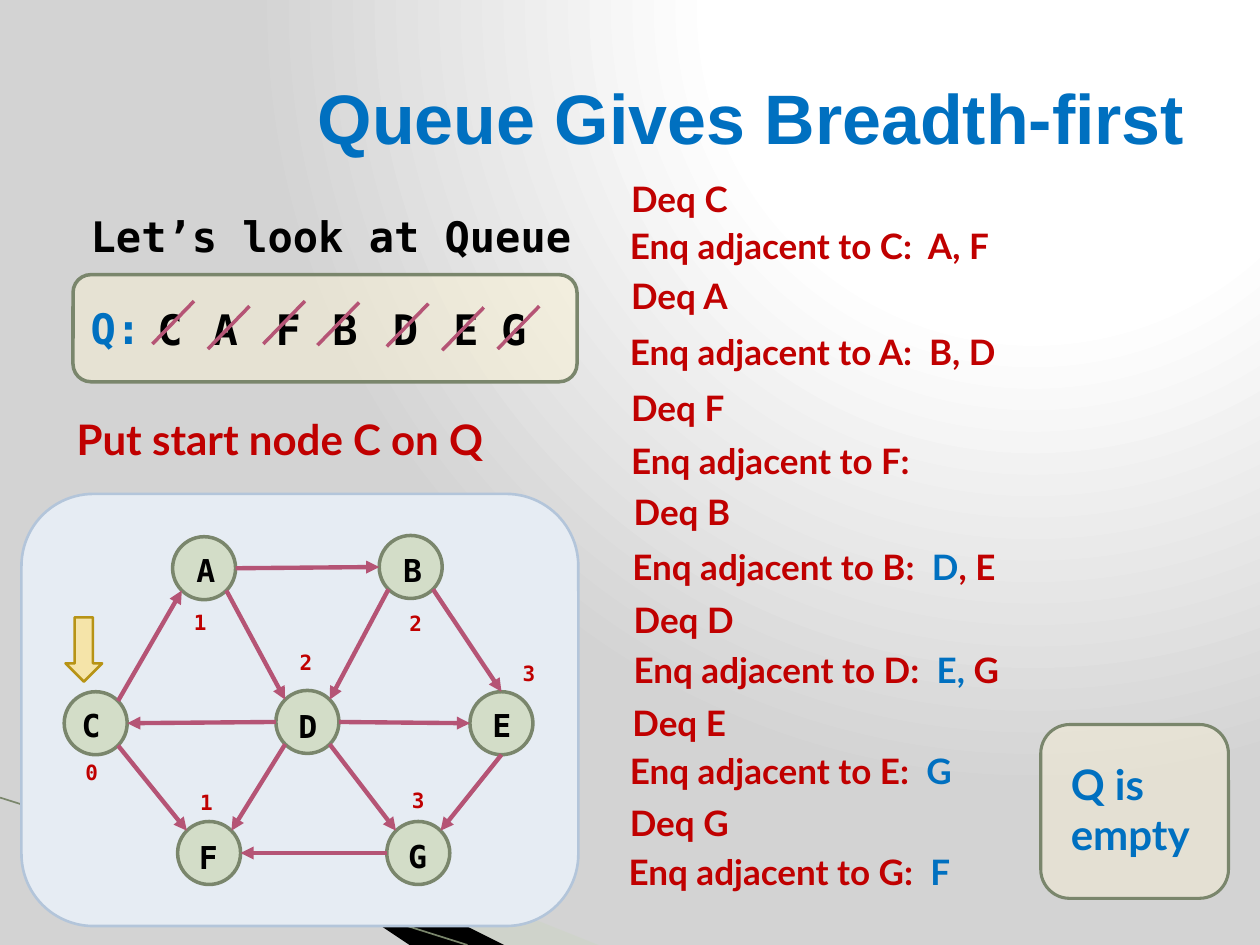
from dataclasses import dataclass
from math import sqrt

from lxml import etree
from pptx import Presentation
from pptx.dml.color import RGBColor
from pptx.enum.shapes import MSO_CONNECTOR, MSO_SHAPE
from pptx.enum.text import MSO_ANCHOR, PP_ALIGN
from pptx.oxml.ns import qn
from pptx.util import Inches, Pt

ROUNDED, OVAL, DOWN = MSO_SHAPE.ROUNDED_RECTANGLE, MSO_SHAPE.OVAL, MSO_SHAPE.DOWN_ARROW
STRAIGHT = MSO_CONNECTOR.STRAIGHT
MIDDLE, TOP, LEFT, RIGHT = MSO_ANCHOR.MIDDLE, MSO_ANCHOR.TOP, PP_ALIGN.LEFT, PP_ALIGN.RIGHT

BLACK = RGBColor(0x00, 0x00, 0x00)
BLUE = RGBColor(0x00, 0x70, 0xC0)
RED = RGBColor(0xC0, 0x00, 0x00)
ROSE = RGBColor(0xB5, 0x54, 0x75)
OLIVE = RGBColor(0x7A, 0x86, 0x6C)
CREAM = RGBColor(0xFA, 0xF2, 0xD4)
GREEN = RGBColor(0xBE, 0xCB, 0x95)
SAGE = RGBColor(0xCB, 0xD4, 0xC0)
PALE_BLUE = RGBColor(0xE6, 0xEC, 0xF3)
EDGE_BLUE = RGBColor(0xB3, 0xC5, 0xDA)
YELLOW = RGBColor(0xF5, 0xE4, 0xA9)
GOLD = RGBColor(0xB7, 0x93, 0x15)

MONO, SANS = "DejaVu Sans Mono", "Lato"
RADIUS = 0.25
DIAGONAL = RADIUS / sqrt(2)
SITES = {
    "top": (0, -RADIUS), "bottom": (0, RADIUS), "left": (-RADIUS, 0), "right": (RADIUS, 0),
    "top left": (-DIAGONAL, -DIAGONAL), "top right": (DIAGONAL, -DIAGONAL),
    "bottom left": (-DIAGONAL, DIAGONAL), "bottom right": (DIAGONAL, DIAGONAL),
}


@dataclass
class Node:
    x: float
    y: float
    label: tuple[float, float]
    distance: str
    distance_at: tuple[float, float]


@dataclass
class Step:
    left: float
    top: float
    spans: list[tuple[str, RGBColor]]


@dataclass
class QueueItem:
    name: str
    left: float
    strike: tuple[float, float]


NODES = {
    "A": Node(1.62, 4.51, (1.46, 4.32), "1", (1.44, 4.79)),
    "B": Node(3.26, 4.5, (3.1, 4.32), "2", (3.15, 4.8)),
    "C": Node(0.76, 5.74, (0.55, 5.55), "0", (0.58, 5.98)),
    "D": Node(2.44, 5.73, (2.27, 5.56), "2", (2.28, 5.11)),
    "E": Node(3.98, 5.74, (3.81, 5.55), "3", (4.05, 5.19)),
    "F": Node(1.66, 6.77, (1.48, 6.6), "1", (1.49, 6.22)),
    "G": Node(3.32, 6.77, (3.14, 6.59), "3", (3.17, 6.2)),
}
EDGES = [
    ("A", "right", "B", "left"), ("A", "bottom right", "D", "top left"),
    ("B", "bottom left", "D", "top right"), ("B", "bottom right", "E", "top"),
    ("C", "top right", "A", "bottom left"), ("C", "bottom right", "F", "top left"),
    ("D", "left", "C", "right"), ("D", "right", "E", "left"),
    ("D", "bottom left", "F", "top right"), ("D", "bottom right", "G", "top left"),
    ("E", "bottom", "G", "top right"), ("G", "left", "F", "right"),
]
QUEUE = [
    QueueItem("C", 1.15, (1.21, 2.73)), QueueItem("A", 1.59, (1.65, 2.77)),
    QueueItem("F", 2.09, (2.09, 2.73)), QueueItem("B", 2.54, (2.52, 2.74)),
    QueueItem("D", 3.02, (3.07, 2.75)), QueueItem("E", 3.5, (3.51, 2.78)),
    QueueItem("G", 3.88, (3.95, 2.77)),
]
STEPS = [
    Step(4.91, 1.36, [("Deq C", RED)]),
    Step(4.9, 1.73, [("Enq adjacent to C:  A, F", RED)]),
    Step(4.91, 2.13, [("Deq A", RED)]),
    Step(4.9, 2.57, [("Enq adjacent to A:  B, D", RED)]),
    Step(4.91, 3.02, [("Deq F", RED)]),
    Step(4.91, 3.44, [("Enq adjacent to F:", RED)]),
    Step(4.93, 3.84, [("Deq B", RED)]),
    Step(4.92, 4.28, [("Enq adjacent to B:  ", RED), ("D", BLUE), (", E", RED)]),
    Step(4.93, 4.7, [("Deq D", RED)]),
    Step(4.93, 5.1, [("Enq adjacent to D:  ", RED), ("E, ", BLUE), ("G", RED)]),
    Step(4.92, 5.52, [("Deq E", RED)]),
    Step(4.9, 5.9, [("Enq adjacent to E:  ", RED), ("G", BLUE)]),
    Step(4.9, 6.31, [("Deq G", RED)]),
    Step(4.89, 6.7, [("Enq adjacent to G:  ", RED), ("F", BLUE)]),
]


def add_span(para, text: str, font: str, size: float, color: RGBColor) -> None:
    span = para.add_run()
    span.text = text
    span.font.name, span.font.size, span.font.bold = font, Pt(size), True
    span.font.color.rgb = color


def add_text(shapes, at: tuple, spans: list, font: str, size: float) -> None:
    box = shapes.add_textbox(*map(Inches, at))
    box.text_frame.word_wrap = True
    for text, color in spans:
        add_span(box.text_frame.paragraphs[0], text, font, size, color)


def paint(shape, fill: RGBColor, opacity: int = 100) -> None:
    shape.shadow.inherit = False
    shape.fill.solid()
    shape.fill.fore_color.rgb = fill
    if opacity < 100:
        color = shape.element.spPr.find(qn("a:solidFill"))[0]
        etree.SubElement(color, qn("a:alpha"), val=str(opacity * 1000))


def add_panel(shapes, kind, at: tuple, fill: RGBColor, opacity: int, line: RGBColor, width: float) -> None:
    panel = shapes.add_shape(kind, *map(Inches, at))
    paint(panel, fill, opacity)
    panel.line.color.rgb, panel.line.width = line, Pt(width)


def add_line(shapes, start: tuple, end: tuple, color: RGBColor, width: float, arrow: bool = False) -> None:
    line = shapes.add_connector(STRAIGHT, *map(Inches, (*start, *end)))
    line.line.color.rgb, line.line.width = color, Pt(width)
    if arrow:
        etree.SubElement(line.line._get_or_add_ln(), qn("a:tailEnd"), type="triangle")
    etree.SubElement(line.element.spPr, qn("a:effectLst"))


def add_wedge(shapes, points: list, fill: RGBColor, opacity: int) -> None:
    builder = shapes.build_freeform(*points[0], scale=Inches(1))
    builder.add_line_segments(points[1:])
    wedge = builder.convert_to_shape()
    paint(wedge, fill, opacity)
    wedge.line.fill.background()


def set_background(page) -> None:
    fill = page.background.fill
    fill.gradient()
    gradient = page.element.find(".//" + qn("a:gradFill"))
    for child in list(gradient):
        gradient.remove(child)
    stops = etree.SubElement(gradient, qn("a:gsLst"))
    for position, color in ((0, "FFFFFF"), (40, "FFFFFF"), (100, "D3D3D3")):
        stop = etree.SubElement(stops, qn("a:gs"), pos=str(position * 1000))
        etree.SubElement(stop, qn("a:srgbClr"), val=color)
    route = etree.SubElement(gradient, qn("a:path"), path="circle")
    etree.SubElement(route, qn("a:fillToRect"), l="65000", t="0", r="0", b="98000")


def place(holder, at: tuple, anchor) -> None:
    holder.left, holder.top, holder.width, holder.height = map(Inches, at)
    holder.text_frame.vertical_anchor = anchor
    holder.element.getparent().append(holder.element)


def site(name: str, side: str) -> tuple[float, float]:
    node, (dx, dy) = NODES[name], SITES[side]
    return node.x + dx, node.y + dy


def draw_graph(page) -> None:
    shapes = page.shapes.add_group_shape().shapes
    add_panel(shapes, ROUNDED, (0.17, 3.92, 4.42, 3.43), PALE_BLUE, 100, EDGE_BLUE, 1.5)
    for name, node in NODES.items():
        at = (node.x - RADIUS, node.y - RADIUS, 2 * RADIUS, 2 * RADIUS)
        add_panel(shapes, OVAL, at, GREEN, 45, OLIVE, 2)
        add_text(shapes, (*node.label, 0.35, 0.41), [(name, BLACK)], MONO, 18)
        add_text(shapes, (*node.distance_at, 0.33, 0.3), [(node.distance, RED)], MONO, 12)
    for source, start, target, end in EDGES:
        add_line(shapes, site(source, start), site(target, end), ROSE, 2.5, True)
    add_panel(shapes, DOWN, (0.52, 4.9, 0.29, 0.51), YELLOW, 100, GOLD, 1.5)


def main() -> None:
    deck = Presentation()
    deck.slide_width, deck.slide_height = Inches(10), Inches(7.5)
    page = deck.slides.add_slide(deck.slide_layouts[1])
    shapes = page.shapes
    title, body = shapes.title, page.placeholders[1]
    set_background(page)
    add_wedge(shapes, [(0.55, 6.5), (5.95, 7.5), (4.56, 7.5)], SAGE, 40)
    add_wedge(shapes, [(0.53, 6.49), (4.57, 7.5), (3.72, 7.5)], BLACK, 100)
    add_line(shapes, (0, 6.33), (3.71, 7.5), OLIVE, 0.95)
    add_panel(shapes, ROUNDED, (0.58, 2.18, 4, 0.85), CREAM, 51, OLIVE, 2)

    place(body, (0.5, 1.62, 9, 5.21), TOP)
    lines = [("Let’s look at Queue", BLACK, 0), ("Q:", BLUE, 24)]
    for index, (text, color, space) in enumerate(lines):
        para = body.text_frame.add_paragraph() if index else body.text_frame.paragraphs[0]
        properties = para._p.get_or_add_pPr()
        properties.set("marL", str(Inches(0.12)))
        properties.set("indent", "0")
        etree.SubElement(properties, qn("a:buNone"))
        para.alignment, para.space_before = LEFT, Pt(space)
        add_span(para, text, MONO, 24, color)
    place(title, (0.5, 0.3, 9, 1.25), MIDDLE)
    heading = title.text_frame.paragraphs[0]
    heading.alignment = RIGHT
    add_span(heading, "Queue Gives Breadth-first", "Arial", 40, BLUE)

    draw_graph(page)
    add_text(shapes, (0.51, 3.23, 4.42, 0.5), [("Put start node C on Q", RED)], SANS, 24)
    for item in QUEUE:
        x, y = item.strike
        add_text(shapes, (item.left, 2.36, 0.33, 0.5), [(item.name, BLACK)], MONO, 24)
        add_line(shapes, (x + 0.33, y - 0.34), (x, y), ROSE, 2)
    for step in STEPS:
        add_text(shapes, (step.left, step.top, 4.71, 0.44), step.spans, SANS, 20)
    notice = shapes.add_group_shape().shapes
    add_panel(notice, ROUNDED, (8.26, 5.75, 1.49, 1.38), CREAM, 44, OLIVE, 1.75)
    add_text(notice, (8.4, 5.97, 1.39, 0.91), [("Q is empty", BLUE)], SANS, 24)
    deck.save("out.pptx")


if __name__ == "__main__":
    main()
